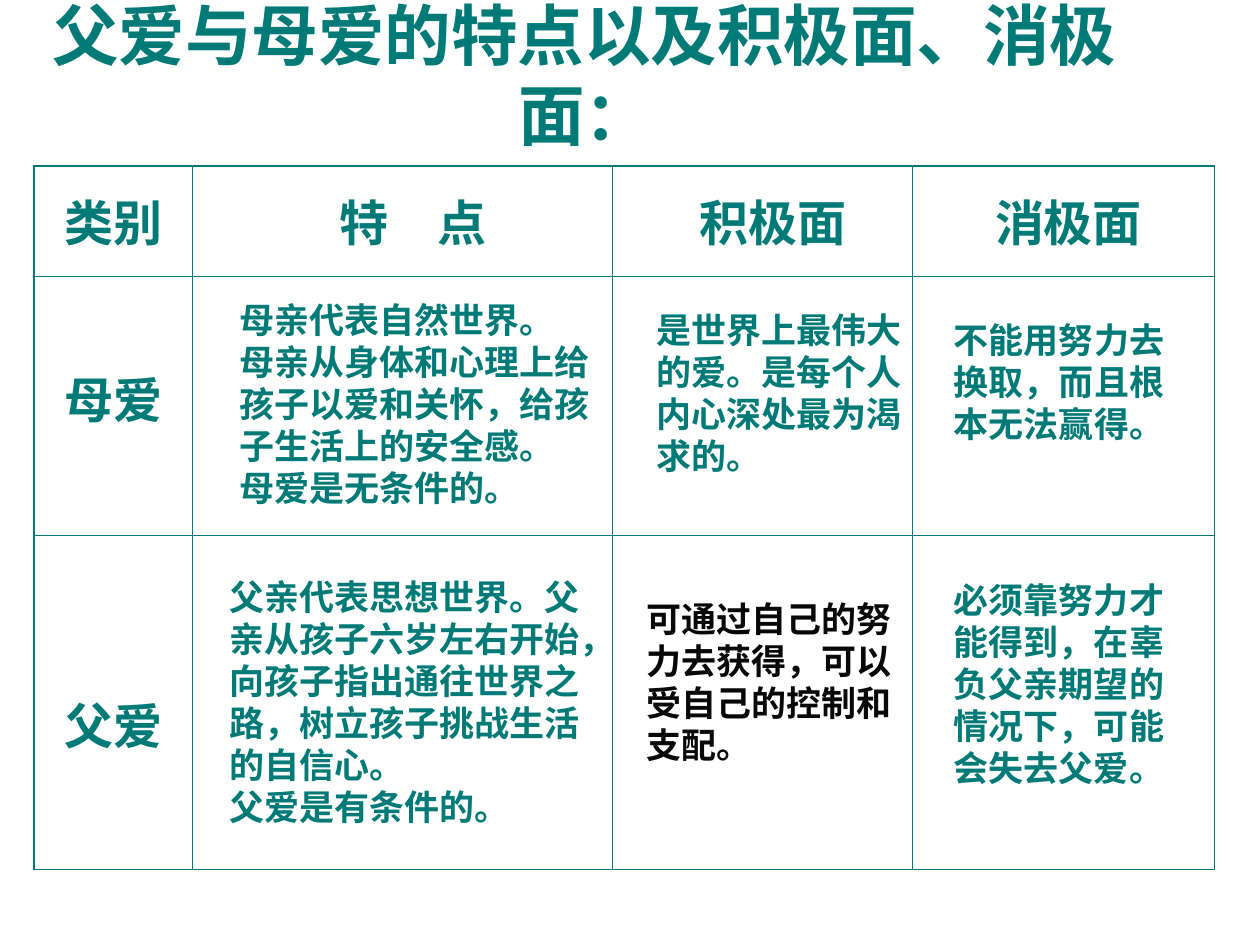
from pptx import Presentation
from pptx.dml.color import RGBColor as RGB
from pptx.enum.text import MSO_ANCHOR as ANCHOR, MSO_AUTO_SIZE as AUTO, PP_ALIGN as ALIGN
from pptx.oxml import parse_xml
from pptx.oxml.ns import nsdecls
from pptx.util import Inches, Pt

COLORS = {"teal": "007A77", "ink": "080808"}


def add_run(p, text, size=20, color="teal", font="Arial"):
    r = p.add_run()
    r.text = text
    r.font.size = Pt(size)
    r.font.bold = True
    r.font.name = font
    r.font.color.rgb = RGB.from_string(COLORS[color])
    return r


def set_border(cell, side, width):
    cell._tc.get_or_add_tcPr().append(parse_xml(
        f'<a:{side} {nsdecls("a")} w="{Pt(width)}"><a:solidFill>'
        f'<a:srgbClr val="{COLORS["teal"]}"/></a:solidFill></a:{side}>'))


prs = Presentation()
prs.slide_width, prs.slide_height = Inches(10), Inches(7.5)
s = prs.slides.add_slide(prs.slide_layouts[6])

title = s.shapes.add_textbox(Inches(0.27), Inches(0.21), Inches(8.74), Inches(0.76))
tf = title.text_frame
tf.word_wrap = True
tf.vertical_anchor = ANCHOR.MIDDLE
p = tf.paragraphs[0]
p.alignment = ALIGN.CENTER
add_run(p, "父爱与母爱的特点以及积极面、消极面：", size=38)

rows = [
    ["类别", "特　点", "积极面", "消极面"],
    ["母爱", "", "", ""],
    ["父爱", "", "", ""],
]
col_widths = [1.26, 3.33, 2.38, 2.4]
row_heights = [0.87, 2.06, 2.65]
left_margins = [0.1, 0.27, 0.27, 0.18]
frame = s.shapes.add_table(3, 4, Inches(0.27), Inches(1.32),
                           Inches(sum(col_widths)), Inches(sum(row_heights)))
table = frame.table
table.first_row = table.horz_banding = False
for column, width in zip(table.columns, col_widths):
    column.width = Inches(width)
for row, height in zip(table.rows, row_heights):
    row.height = Inches(height)

for i, labels in enumerate(rows):
    for j, label in enumerate(labels):
        cell = table.cell(i, j)
        cell.margin_left = Inches(left_margins[j])
        cell.margin_top = Inches(0.15 + 0.53 * i)
        if label:
            p = cell.text_frame.paragraphs[0]
            p.alignment = ALIGN.CENTER
            add_run(p, label, size=28)
        outer = {"lnL": j == 0, "lnR": j == 3, "lnT": i == 0, "lnB": i == 2}
        for side, is_outer in outer.items():
            set_border(cell, side, 1.08 if is_outer else 0.45)
        cell.fill.background()

notes = [
    (1.3, 2.32, 3.7, 1.77, "teal", "Noto Sans CJK SC",
     ["母亲代表自然世界。", "母亲从身体和心理上给孩子以爱和关怀，给孩子生活上的安全感。",
      "母爱是无条件的。"]),
    (4.61, 2.4, 2.76, 1.44, "teal", "Arial",
     ["是世界上最伟大的爱。是每个人内心深处最为渴求的。"]),
    (6.97, 2.48, 2.52, 1.44, "teal", "Arial",
     ["不能用努力去换取，而且根本无法赢得。"]),
    (1.22, 4.52, 3.7, 2.4, "teal", "Arial",
     ["父亲代表思想世界。父亲从孩子六岁左右开始，向孩子指出通往世界之路，树立孩子挑战生活的自信心。",
      "父爱是有条件的。"]),
    (4.53, 4.69, 2.91, 1.77, "ink", "Arial",
     ["可通过自己的努力去获得，可以受自己的控制和支配。"]),
    (6.97, 4.54, 2.44, 1.77, "teal", "Arial",
     ["必须靠努力才能得到，在辜负父亲期望的情况下，可能会失去父爱。"]),
]
for x, y, w, h, color, font, texts in notes:
    sp = s.shapes.add_textbox(Inches(x), Inches(y), Inches(w), Inches(h))
    tf = sp.text_frame
    tf.word_wrap = True
    tf.auto_size = AUTO.SHAPE_TO_FIT_TEXT
    tf.margin_left = Inches(0.6)
    for n, text in enumerate(texts):
        p = tf.add_paragraph() if n else tf.paragraphs[0]
        add_run(p, text, color=color, font=font)

prs.save("out.pptx")
